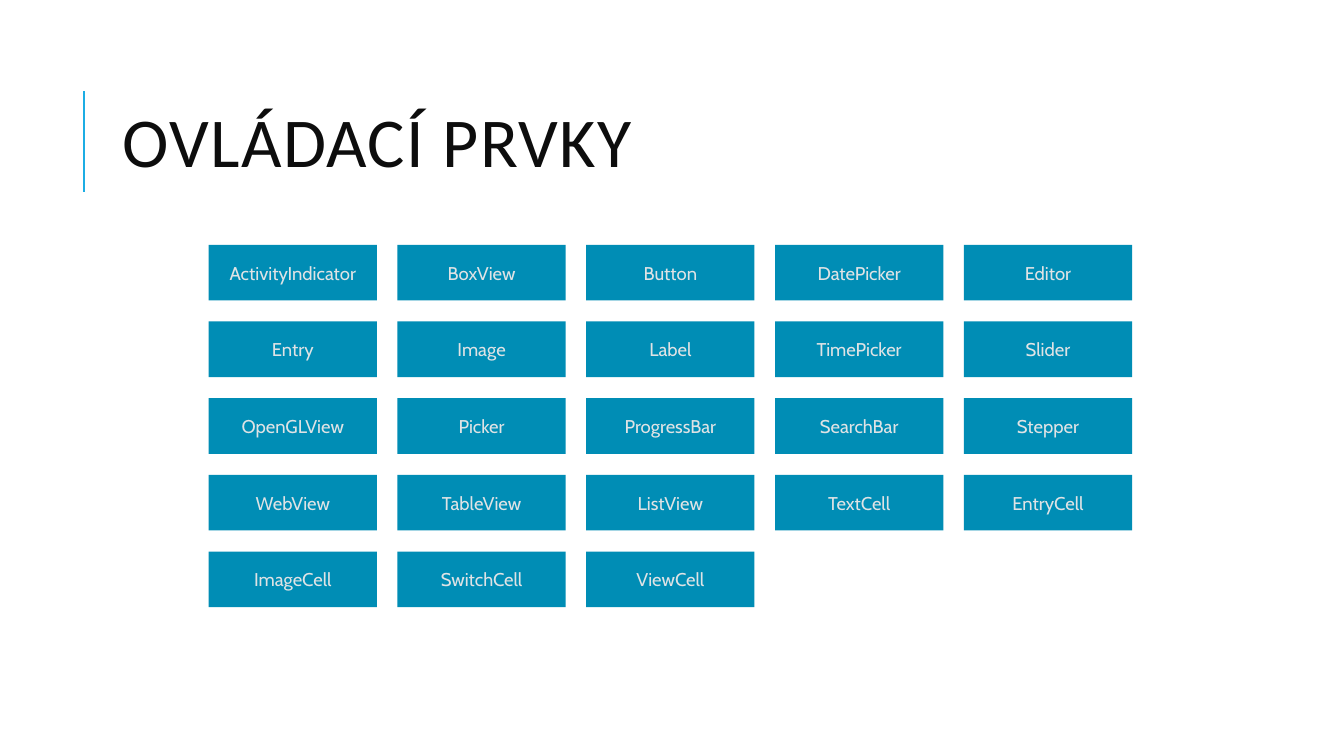
from dataclasses import dataclass

from lxml import etree
from pptx import Presentation
from pptx.dml.color import RGBColor
from pptx.enum.shapes import MSO_CONNECTOR, MSO_SHAPE
from pptx.enum.text import MSO_ANCHOR, PP_ALIGN
from pptx.oxml.ns import qn
from pptx.util import Cm, Pt

STRAIGHT = MSO_CONNECTOR.STRAIGHT
ROUNDED_RECTANGLE = MSO_SHAPE.ROUNDED_RECTANGLE
MIDDLE = MSO_ANCHOR.MIDDLE
CENTER = PP_ALIGN.CENTER
LEFT = PP_ALIGN.LEFT


@dataclass(frozen=True)
class Theme:
    accent: RGBColor = RGBColor(0x1C, 0xAD, 0xE4)
    tile_fill: RGBColor = RGBColor(0x00, 0x8D, 0xB5)
    tile_text: RGBColor = RGBColor(0xDF, 0xE3, 0xE5)
    title_text: RGBColor = RGBColor(0x0D, 0x0D, 0x0D)
    title_font: str = "Calibri"
    tile_font: str = "Cabin"
    title_size: Pt = Pt(50)
    tile_size: Pt = Pt(13.2)
    accent_width: Pt = Pt(1.5)


@dataclass(frozen=True)
class Box:
    """A region of the slide, in centimetres."""
    left: float
    top: float
    width: float
    height: float

    def lengths(self):
        return Cm(self.left), Cm(self.top), Cm(self.width), Cm(self.height)


THEME = Theme()
TITLE = "OVLÁDACÍ PRVKY"
CONTROLS = [
    ["ActivityIndicator", "BoxView", "Button", "DatePicker", "Editor"],
    ["Entry", "Image", "Label", "TimePicker", "Slider"],
    ["OpenGLView", "Picker", "ProgressBar", "SearchBar", "Stepper"],
    ["WebView", "TableView", "ListView", "TextCell", "EntryCell"],
    ["ImageCell", "SwitchCell", "ViewCell"],
]
TILE_WIDTH, TILE_HEIGHT = 4.24, 1.4


def write_text(shape, text, font_name, size, color, alignment):
    """Fill the shape with one vertically centred paragraph and return it."""
    frame = shape.text_frame
    frame.word_wrap = True
    frame.vertical_anchor = MIDDLE
    frame.text = text
    paragraph = frame.paragraphs[0]
    paragraph.alignment = alignment
    font = paragraph.runs[0].font
    font.name = font_name
    font.size = size
    font.color.rgb = color
    return paragraph


def add_title(slide, box):
    """Place the title and the accent line to its left."""
    line_left, line_top, line_height = box.left - 0.73, box.top + 0.66, 2.54
    line = slide.shapes.add_connector(
        STRAIGHT, Cm(line_left), Cm(line_top + line_height), Cm(line_left), Cm(line_top))
    line.line.color.rgb = THEME.accent
    line.line.width = THEME.accent_width
    etree.SubElement(line._element.spPr, qn("a:effectLst"))

    title = slide.shapes.add_textbox(*box.lengths())
    paragraph = write_text(
        title, TITLE, THEME.title_font, THEME.title_size, THEME.title_text, LEFT)
    paragraph.line_spacing = 0.8
    paragraph.runs[0].font._element.set("spc", "100")


def add_tile(slide, box, name):
    tile = slide.shapes.add_shape(ROUNDED_RECTANGLE, *box.lengths())
    tile.adjustments[0] = 0
    tile.shadow.inherit = False
    tile.fill.solid()
    tile.fill.fore_color.rgb = THEME.tile_fill
    tile.line.fill.background()
    write_text(tile, name, THEME.tile_font, THEME.tile_size, THEME.tile_text, CENTER)


def add_control_grid(slide, box):
    """Spread the tiles evenly so that the outer ones touch the box edges."""
    column_step = (box.width - TILE_WIDTH) / (len(CONTROLS[0]) - 1)
    row_step = (box.height - TILE_HEIGHT) / (len(CONTROLS) - 1)
    for row, names in enumerate(CONTROLS):
        for column, name in enumerate(names):
            tile_box = Box(box.left + column * column_step,
                           box.top + row * row_step, TILE_WIDTH, TILE_HEIGHT)
            add_tile(slide, tile_box, name)


def main():
    presentation = Presentation()
    presentation.slide_width = Cm(33.87)
    presentation.slide_height = Cm(19.05)
    slide = presentation.slides.add_slide(presentation.slide_layouts[6])
    add_title(slide, Box(2.84, 1.63, 27, 4.17))
    add_control_grid(slide, Box(5.26, 6.17, 23.27, 9.13))
    presentation.save("out.pptx")


if __name__ == "__main__":
    main()
